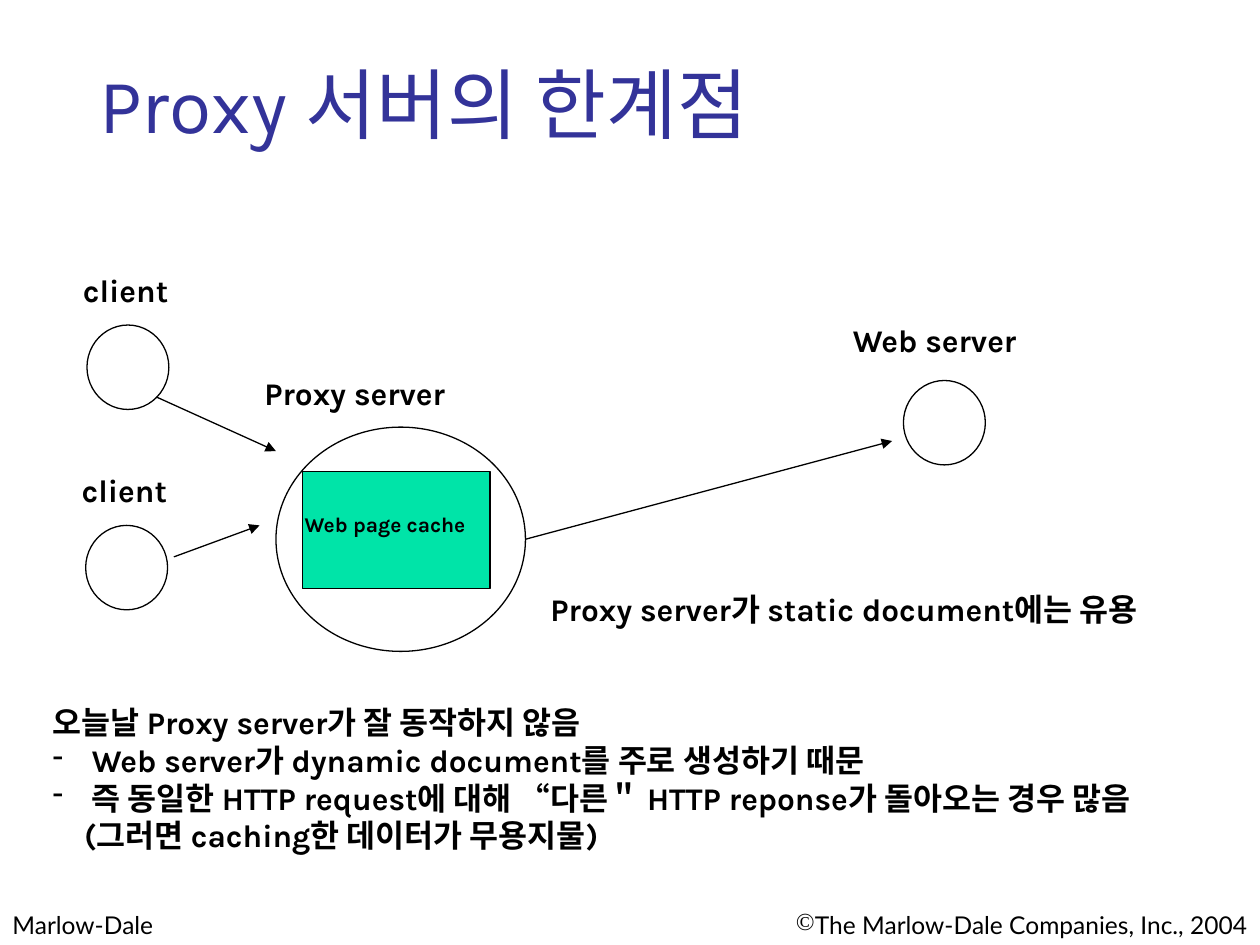
from dataclasses import dataclass
from typing import NamedTuple, Optional

from lxml.etree import SubElement
from pptx import Presentation
from pptx.dml.color import RGBColor
from pptx.enum.shapes import MSO_CONNECTOR, MSO_SHAPE
from pptx.enum.text import PP_ALIGN
from pptx.oxml.ns import qn
from pptx.util import Inches, Pt

COLUMNS, ROWS = 100, 75


@dataclass(frozen=True)
class Theme:
    ink: RGBColor = RGBColor(0x00, 0x00, 0x00)
    title: RGBColor = RGBColor(0x33, 0x33, 0x99)
    cache: RGBColor = RGBColor(0x00, 0xE4, 0xA8)
    font: str = "Karla"
    footer_font: str = "Lato"
    title_size: int = 44
    body_size: int = 18
    footer_size: int = 14
    small_size: int = 12
    line: float = 0.75


class Box(NamedTuple):
    """Left, top, width and height in grid columns and rows."""
    x: float
    y: float
    w: float
    h: float


class Arrow(NamedTuple):
    x1: float
    y1: float
    x2: float
    y2: float


class Para(NamedTuple):
    text: str
    bullet: str = ""
    margin: float = 0
    indent: float = 0


@dataclass(frozen=True)
class Label:
    box: Box
    paras: tuple[Para, ...]
    size: int
    font: str
    color: RGBColor
    bold: bool = False
    wrap: bool = False
    align: PP_ALIGN = PP_ALIGN.LEFT


THEME = Theme()
NODE_W, NODE_H = 6.5, 6.7


def caption(box: Box, *paras: Para, size: int = THEME.body_size) -> Label:
    """Bold, unwrapped diagram text."""
    return Label(box, paras, size, THEME.font, THEME.ink, bold=True)


def footer(box: Box, para: Para, align: PP_ALIGN) -> Label:
    return Label(box, (para,), THEME.footer_size, THEME.footer_font, THEME.ink,
                 wrap=True, align=align)


CIRCLES = (
    Box(6.9, 25.8, NODE_W, NODE_H),
    Box(6.8, 41.7, NODE_W, NODE_H),
    Box(71.7, 30.2, NODE_W, NODE_H),
    Box(21.9, 33.9, 19.8, 17.8),
)
CACHE = Box(24, 37.4, 14.9, 9.3)
ARROWS = (
    Arrow(12.4, 31.5, 21.9, 35.8),
    Arrow(13.8, 44.2, 20.6, 41.7),
    Arrow(41.7, 42.8, 70.8, 35),
)
LABELS = (
    footer(Box(0, 71.7, 24.2, 3.3), Para("Marlow-Dale"), PP_ALIGN.LEFT),
    footer(Box(50, 71.7, 50, 3.3),
           Para("The Marlow-Dale Companies, Inc., 2004", bullet="©"), PP_ALIGN.RIGHT),
    Label(Box(6.9, 4, 86.2, 14.5), (Para("Proxy 서버의 한계점"),),
          THEME.title_size, THEME.font, THEME.title, wrap=True),
    caption(Box(5.6, 21, 9, 4), Para("client")),
    caption(Box(5.5, 36.9, 9, 4), Para("client")),
    caption(Box(66.7, 25, 16.4, 4), Para("Web server")),
    caption(Box(20, 29.2, 18, 4), Para("Proxy server")),
    caption(Box(23.2, 40.1, 15.8, 3), Para("Web page cache"), size=THEME.small_size),
    caption(Box(42.7, 46.3, 52.5, 4), Para("Proxy server가 static document에는 유용")),
    caption(
        Box(3.2, 55.3, 94.9, 13.1),
        Para("오늘날 Proxy server가 잘 동작하지 않음"),
        Para("Web server가 dynamic document를 주로 생성하기 때문", "-", 3.1, -3.1),
        Para("즉 동일한 HTTP request에 대해 “다른＂ HTTP reponse가 돌아오는 경우 많음",
             "-", 3.1, -3.1),
        Para("(그러면 caching한 데이터가 무용지물)", margin=2.5),
    ),
)


class Canvas:
    """Draws on one slide in grid units."""

    def __init__(self, prs: Presentation) -> None:
        self.shapes = prs.slides.add_slide(prs.slide_layouts[6]).shapes
        self.column = prs.slide_width / COLUMNS
        self.row = prs.slide_height / ROWS

    def place(self, x: float, y: float, *size: float) -> tuple[int, ...]:
        units = (self.column, self.row) * 2
        return tuple(round(v * u) for v, u in zip((x, y, *size), units))

    def shape(self, kind: MSO_SHAPE, box: Box, fill: Optional[RGBColor] = None) -> None:
        sp = self.shapes.add_shape(kind, *self.place(*box))
        sp.shadow.inherit = False
        if fill is None:
            sp.fill.background()
        else:
            sp.fill.solid()
            sp.fill.fore_color.rgb = fill
        sp.line.color.rgb = THEME.ink
        sp.line.width = Pt(THEME.line)

    def arrow(self, arrow: Arrow) -> None:
        cx = self.shapes.add_connector(MSO_CONNECTOR.STRAIGHT, *self.place(*arrow))
        cx.line.color.rgb = THEME.ink
        cx.line.width = Pt(THEME.line)
        SubElement(cx.line._get_or_add_ln(), qn("a:tailEnd"), type="triangle")
        SubElement(cx._element.spPr, qn("a:effectLst"))

    def label(self, label: Label) -> None:
        tf = self.shapes.add_textbox(*self.place(*label.box)).text_frame
        tf.word_wrap = label.wrap
        tf.text = "\n".join(para.text for para in label.paras)
        for p, para in zip(tf.paragraphs, label.paras):
            p.alignment = label.align
            pPr = p._p.get_or_add_pPr()
            pPr.set("marL", str(round(para.margin * self.column)))
            pPr.set("indent", str(round(para.indent * self.column)))
            if para.bullet:
                SubElement(pPr, qn("a:buChar"), char=para.bullet)
            for r in p.runs:
                r.font.name = label.font
                r.font.size = Pt(label.size)
                r.font.bold = label.bold
                r.font.color.rgb = label.color


def main() -> None:
    prs = Presentation()
    prs.slide_width, prs.slide_height = Inches(10), Inches(7.5)
    canvas = Canvas(prs)
    for circle in CIRCLES:
        canvas.shape(MSO_SHAPE.OVAL, circle)
    canvas.shape(MSO_SHAPE.RECTANGLE, CACHE, THEME.cache)
    for arrow in ARROWS:
        canvas.arrow(arrow)
    for label in LABELS:
        canvas.label(label)
    prs.save("out.pptx")


if __name__ == "__main__":
    main()
